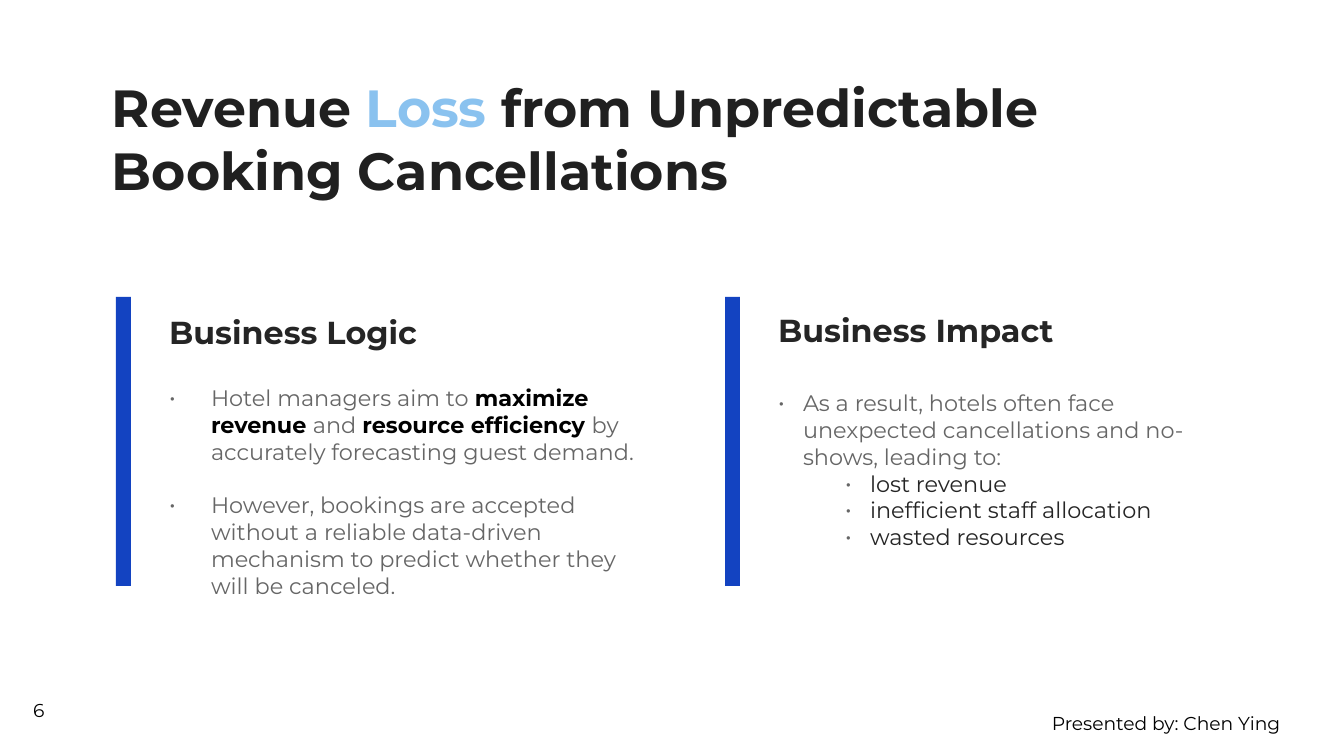
from lxml.etree import SubElement
from pptx import Presentation
from pptx.dml.color import RGBColor
from pptx.enum.shapes import MSO_SHAPE
from pptx.enum.text import MSO_ANCHOR, PP_ALIGN
from pptx.oxml.ns import qn
from pptx.util import Emu, Pt

PX = 914400 / 134.4
FONT = "Montserrat"
INSET = 13

INK = RGBColor(0x20, 0x20, 0x20)
HEADING = RGBColor(0x25, 0x25, 0x25)
GRAY = RGBColor(0x66, 0x66, 0x66)
BLACK = RGBColor(0x00, 0x00, 0x00)
SKY = RGBColor(0x8A, 0xC2, 0xEF)
BLUE = RGBColor(0x13, 0x43, 0xC1)


def px(length):
    return Emu(round(length * PX))


def add_bar(page, left, top, width, height):
    bar = page.shapes.add_shape(
        MSO_SHAPE.RECTANGLE, px(left), px(top), px(width), px(height))
    bar.shadow.inherit = False
    bar.fill.solid()
    bar.fill.fore_color.rgb = BLUE
    bar.line.fill.background()


def add_box(page, left, top, width, height, anchor=MSO_ANCHOR.TOP, inset_y=INSET):
    box = page.shapes.add_textbox(px(left), px(top), px(width), px(height))
    frame = box.text_frame
    frame.word_wrap = True
    frame.vertical_anchor = anchor
    frame.margin_left = frame.margin_right = px(INSET)
    frame.margin_top = frame.margin_bottom = px(inset_y)
    return frame


def add_bullet(para, margin, hanging):
    properties = para._p.get_or_add_pPr()
    properties.set("marL", str(px(margin)))
    properties.set("indent", str(-px(hanging)))
    color = SubElement(properties, qn("a:buClr"))
    SubElement(color, qn("a:srgbClr"), val=str(GRAY))
    SubElement(properties, qn("a:buFont"), typeface=FONT)
    SubElement(properties, qn("a:buChar"), char="•")


def add_span(para, text, size=12, color=GRAY, bold=False):
    span = para.add_run()
    span.text = text
    span.font.name = FONT
    span.font.size = Pt(size)
    span.font.color.rgb = color
    span.font.bold = bold


def add_heading(page, text, left, top):
    frame = add_box(page, left, top, 500, 161, anchor=MSO_ANCHOR.BOTTOM)
    add_span(frame.paragraphs[0], text, size=17, color=HEADING, bold=True)


def main():
    deck = Presentation()
    deck.slide_width, deck.slide_height = px(1344), px(756)
    page = deck.slides.add_slide(deck.slide_layouts[6])

    # Title
    title = add_box(page, 99, -105, 1126, 319, anchor=MSO_ANCHOR.BOTTOM)
    for text, color in (("Revenue ", INK), ("Loss", SKY),
                        (" from Unpredictable Booking Cancellations", INK)):
        add_span(title.paragraphs[0], text, size=28, color=color, bold=True)

    # Column bars and headings
    for left in (116, 725):
        add_bar(page, left, 297, 15, 289)
    add_heading(page, "Business Logic", 156, 203)
    add_heading(page, "Business Impact", 765, 201)

    # Business logic, with key terms in bold
    logic = add_box(page, 156, 371, 500, 157)
    goal = logic.paragraphs[0]
    add_bullet(goal, margin=42, hanging=42)
    for text, is_key in (("Hotel managers aim to ", False),
                         ("maximize revenue ", True), ("and ", False),
                         ("resource efficiency ", True),
                         ("by accurately forecasting guest demand.", False)):
        add_span(goal, text, color=BLACK if is_key else GRAY, bold=is_key)
    problem = logic.add_paragraph()
    problem.space_before = Pt(14.4)
    add_bullet(problem, margin=42, hanging=42)
    add_span(problem, "However, bookings are accepted without a reliable data-driven "
                      "mechanism to predict whether they will be canceled.")

    # Business impact, with nested effects
    impact = add_box(page, 765, 376, 500, 157)
    result = impact.paragraphs[0]
    add_bullet(result, margin=25, hanging=25)
    add_span(result, "As a result, hotels often face unexpected cancellations "
                     "and no-shows, leading to:")
    for text in ("lost revenue", "inefficient staff allocation", "wasted resources"):
        effect = impact.add_paragraph()
        effect.level = 1
        add_bullet(effect, margin=92, hanging=25)
        add_span(effect, text, color=HEADING)

    # Presenter and page number
    presenter = add_box(page, 926, 705, 367, 36, inset_y=7)
    presenter.paragraphs[0].alignment = PP_ALIGN.RIGHT
    add_span(presenter.paragraphs[0], "Presented by: Chen Ying", size=10, color=BLACK)
    number = add_box(page, 20, 681, 81, 58, anchor=MSO_ANCHOR.MIDDLE)
    add_span(number.paragraphs[0], "6", size=10, color=BLACK)

    deck.save("out.pptx")


if __name__ == "__main__":
    main()
